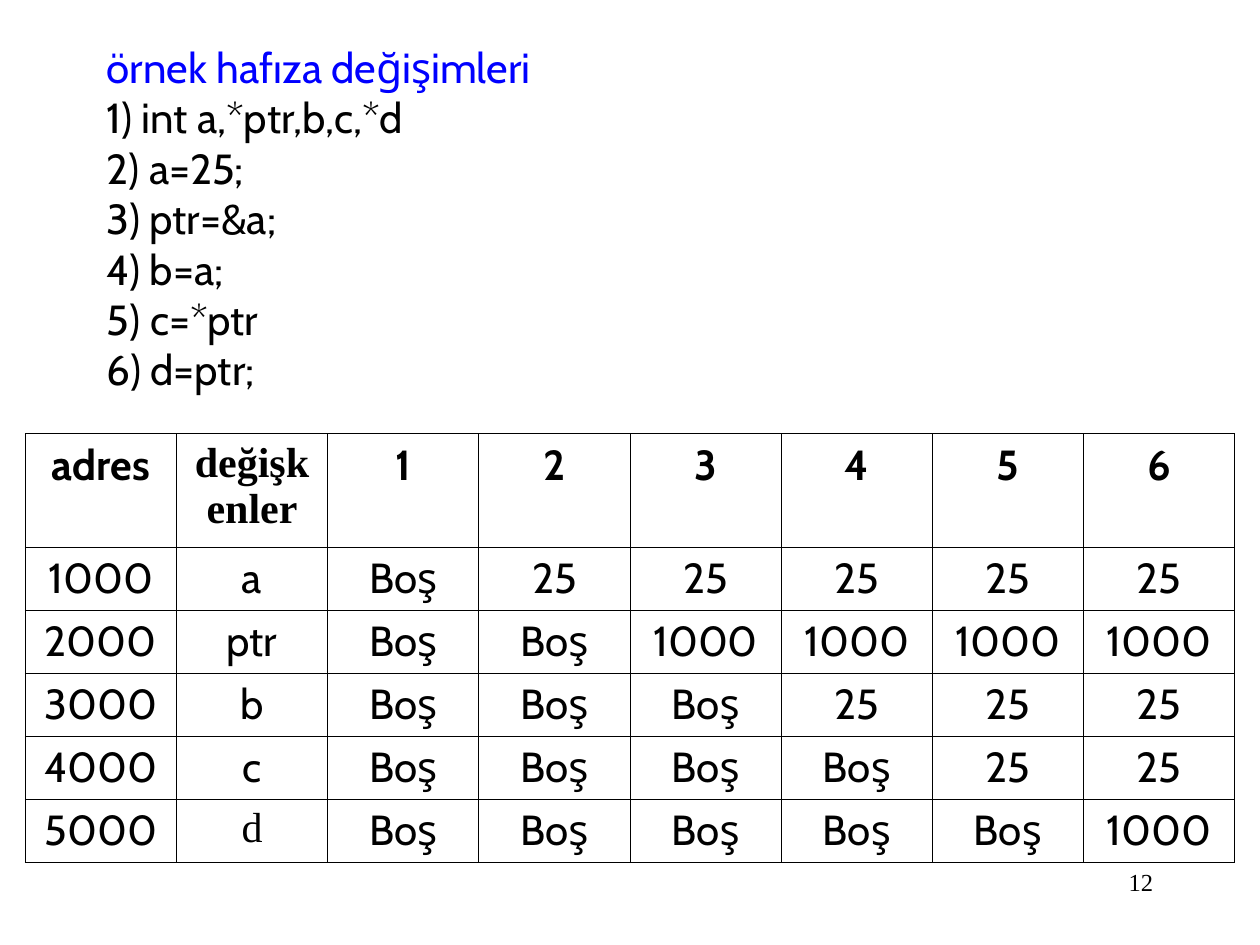
from lxml import etree
from pptx import Presentation
from pptx import util as u
from pptx.dml.color import RGBColor
from pptx.enum import text
from pptx.oxml import ns

BLACK = RGBColor(0, 0, 0)
BLUE = RGBColor(0, 0, 255)
SANS = "Cabin"
SERIF = "Times New Roman"
EMPTY = "Boş"
STEPS = 6

CODE_LINES = [
    "1) int a,*ptr,b,c,*d",
    "2) a=25;",
    "3) ptr=&a;",
    "4) b=a;",
    "5) c=*ptr",
    "6) d=ptr;",
]
VARIABLES = [
    ("1000", "a", "25", 2),
    ("2000", "ptr", "1000", 3),
    ("3000", "b", "25", 4),
    ("4000", "c", "25", 5),
    ("5000", "d", "1000", 6),
]
SERIF_CELLS = ("değişkenler", "d")


def write(paragraph, content, font=SANS, size=24, color=BLACK, bold=False,
          align=text.PP_ALIGN.LEFT):
    paragraph.alignment = align
    run = paragraph.add_run()
    run.text = content
    run.font.name = font
    run.font.size = u.Pt(size)
    run.font.bold = bold
    run.font.color.rgb = color


def memory_rows():
    rows = [["adres", "değişkenler"] + [str(step + 1) for step in range(STEPS)]]
    for address, name, value, assigned in VARIABLES:
        before = assigned - 1
        rows.append([address, name] + [EMPTY] * before + [value] * (STEPS - before))
    return rows


class SlideBuilder:
    border_width = u.Pt(0.45)
    border_color = BLACK

    def __init__(self, presentation):
        self.slide = presentation.slides.add_slide(presentation.slide_layouts[6])

    def text_box(self, left, top, width, height, lines, **style):
        shape = self.slide.shapes.add_textbox(
            u.Inches(left), u.Inches(top), u.Inches(width), u.Inches(height))
        frame = shape.text_frame
        frame.word_wrap = True
        for index, (line, color) in enumerate(lines):
            paragraph = frame.add_paragraph() if index else frame.paragraphs[0]
            write(paragraph, line, color=color, **style)

    def table(self, left, top, column_width, row_heights, rows):
        columns = len(rows[0])
        table = self.slide.shapes.add_table(
            len(rows), columns, u.Inches(left), u.Inches(top),
            u.Inches(column_width * columns), u.Inches(sum(row_heights))).table
        for column in table.columns:
            column.width = u.Inches(column_width)
        for row_index, row in enumerate(rows):
            table.rows[row_index].height = u.Inches(row_heights[row_index])
            for column_index, content in enumerate(row):
                cell = table.cell(row_index, column_index)
                self.outline(cell)
                cell.fill.background()
                write(cell.text_frame.paragraphs[0], content,
                      font=SERIF if content in SERIF_CELLS else SANS,
                      bold=row_index == 0, align=text.PP_ALIGN.CENTER)

    def outline(self, cell):
        properties = cell._tc.get_or_add_tcPr()
        for side in ("a:lnL", "a:lnR", "a:lnT", "a:lnB"):
            line = etree.SubElement(properties, ns.qn(side), w=str(self.border_width))
            fill = etree.SubElement(line, ns.qn("a:solidFill"))
            etree.SubElement(fill, ns.qn("a:srgbClr"), val=str(self.border_color))


def main():
    presentation = Presentation()
    presentation.slide_width = u.Inches(10)
    presentation.slide_height = u.Inches(7.5)
    builder = SlideBuilder(presentation)
    builder.text_box(0.75, 0.28, 4.72, 3.3,
                     [("örnek hafıza değişimleri", BLUE)]
                     + [(line, BLACK) for line in CODE_LINES])
    builder.table(0.2, 3.44, 1.2, [0.9] + [0.5] * len(VARIABLES), memory_rows())
    builder.text_box(7.17, 6.83, 2.08, 0.5, [("12", BLACK)],
                     font=SERIF, size=14, align=text.PP_ALIGN.RIGHT)
    presentation.save("out.pptx")


if __name__ == "__main__":
    main()
